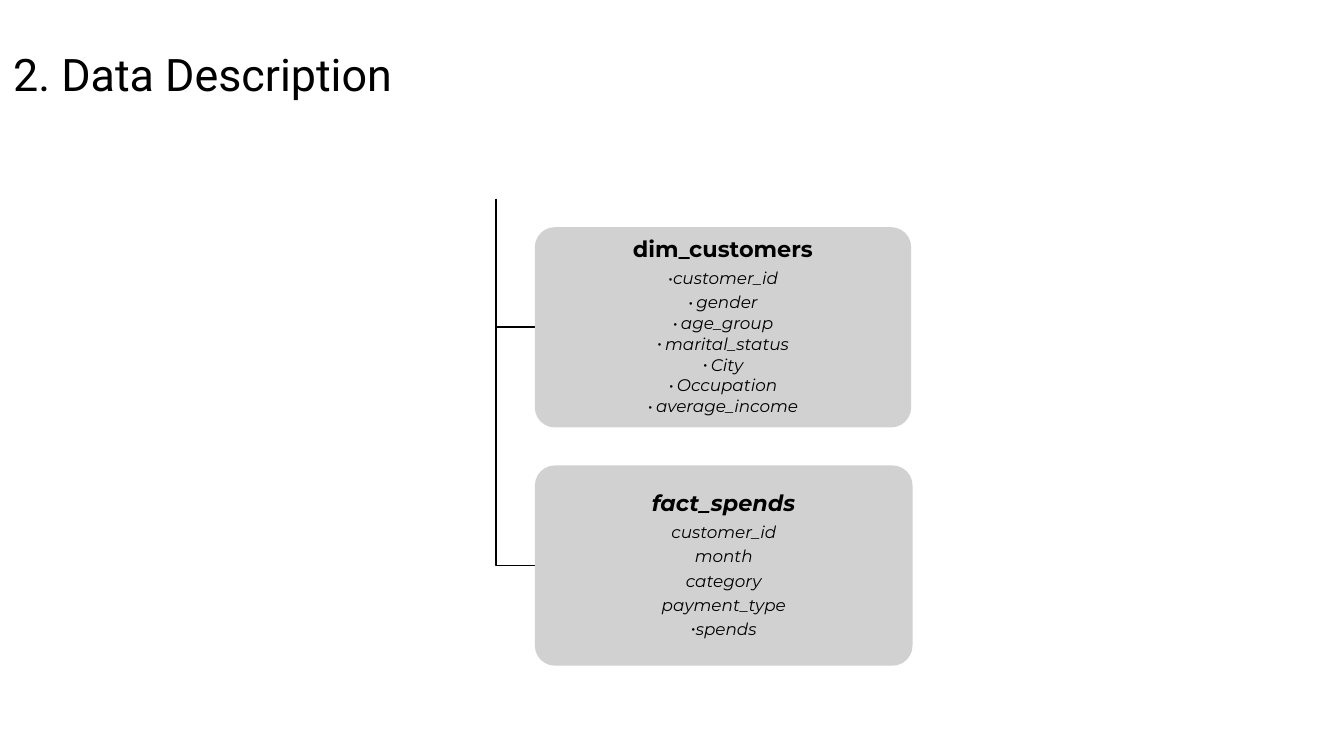
from lxml.etree import SubElement
from pptx import Presentation
from pptx.dml.color import RGBColor
from pptx.enum.shapes import MSO_SHAPE as Shape
from pptx.enum.text import MSO_ANCHOR as Anchor, PP_ALIGN as Align
from pptx.oxml.ns import qn
from pptx.util import Inches, Pt

BLACK = RGBColor(0x00, 0x00, 0x00)
GREY = RGBColor(0xCC, 0xCC, 0xCC)
TITLE_FONT, CARD_FONT = "Roboto", "Montserrat"

# Layout of the table tree, in inches
SLIDE_WIDTH = 10
SLIDE_HEIGHT = SLIDE_WIDTH * 9 / 16
TRUNK_X, TRUNK_TOP = 3.69, 1.48
CARD_X, FIRST_CARD_Y = 3.98, 1.69
CARD_HEIGHT = 1.49
CARD_PITCH = CARD_HEIGHT * 1.19
HANGING = 0.06

# Each field: name, outline level, bulleted
CUSTOMER_FIELDS = [("customer_id", 0, True)] + [
    (name, 1, True)
    for name in ("gender", "age_group", "marital_status", "City",
                 "Occupation", "average_income")
]
SPEND_FIELDS = [
    (name, 0, False)
    for name in ("customer_id", "month", "category", "payment_type")
] + [("spends", 0, True)]

# Each table: name, name in italics, card width, fields
TABLES = [
    ("dim_customers", False, 2.8, CUSTOMER_FIELDS),
    ("fact_spends", True, 2.81, SPEND_FIELDS),
]


def add_run(paragraph, text, font, size, bold=False, italic=False):
    run = paragraph.add_run()
    run.text = text
    run.font.name = font
    run.font.size = Pt(size)
    run.font.bold = bold
    run.font.italic = italic
    run.font.color.rgb = BLACK


def set_margins(frame, margin):
    frame.margin_left = frame.margin_right = Inches(margin)
    frame.margin_top = frame.margin_bottom = Inches(margin)


def format_line(paragraph, level=0, bulleted=False):
    """Centre a card line, with spacing relative to its text size."""
    paragraph.alignment = Align.CENTER
    paragraph.line_spacing = 0.9
    paragraph.level = level
    properties = paragraph._p.get_or_add_pPr()
    indent = Inches(HANGING * level)
    properties.set("marL", str(indent))
    properties.set("indent", str(-indent))
    after = SubElement(properties, qn("a:spcAft"))
    share = 15000 if level else 35000
    SubElement(after, qn("a:spcPct")).set("val", str(share))
    if bulleted:
        SubElement(properties, qn("a:buFont")).set("typeface", CARD_FONT)
        SubElement(properties, qn("a:buChar")).set("char", "•")
    else:
        SubElement(properties, qn("a:buNone"))


def add_title(slide, text):
    title = slide.shapes.add_textbox(0, Inches(0.25), Inches(7.21), Inches(0.54))
    frame = title.text_frame
    frame.word_wrap = True
    set_margins(frame, 0.1)
    add_run(frame.paragraphs[0], text, TITLE_FONT, 24)


def add_branch(slide, end_y):
    """Draw the trunk down to end_y and turn right to the card."""
    builder = slide.shapes.build_freeform(
        Inches(TRUNK_X), Inches(TRUNK_TOP), scale=1.0)
    builder.add_line_segments(
        [(Inches(TRUNK_X), Inches(end_y)), (Inches(CARD_X), Inches(end_y))],
        close=False)
    branch = builder.convert_to_shape()
    branch.shadow.inherit = False
    branch.fill.background()
    branch.line.color.rgb = BLACK
    branch.line.width = Pt(1)


def add_card(slide, top, width, name, italic, fields):
    card = slide.shapes.add_shape(
        Shape.ROUNDED_RECTANGLE, Inches(CARD_X), Inches(top),
        Inches(width), Inches(CARD_HEIGHT))
    card.adjustments[0] = 0.1
    card.shadow.inherit = False
    card.line.fill.background()
    card.fill.solid()
    card.fill.fore_color.rgb = GREY
    colour = card._element.spPr.find(qn("a:solidFill"))[0]
    SubElement(colour, qn("a:alpha")).set("val", "90000")

    # Table name, then its fields
    frame = card.text_frame
    frame.word_wrap = True
    frame.vertical_anchor = Anchor.MIDDLE
    set_margins(frame, 0.01)
    heading = frame.paragraphs[0]
    format_line(heading)
    add_run(heading, name, CARD_FONT, 12, bold=True, italic=italic)
    for field, level, bulleted in fields:
        line = frame.add_paragraph()
        format_line(line, level, bulleted)
        add_run(line, field, CARD_FONT, 9, italic=True)


def main():
    deck = Presentation()
    deck.slide_width = Inches(SLIDE_WIDTH)
    deck.slide_height = Inches(SLIDE_HEIGHT)
    slide = deck.slides.add_slide(deck.slide_layouts[6])

    add_title(slide, "2. Data Description")

    # One branch and one card per table
    for row, (name, italic, width, fields) in enumerate(TABLES):
        top = FIRST_CARD_Y + row * CARD_PITCH
        add_branch(slide, top + CARD_HEIGHT / 2)
        add_card(slide, top, width, name, italic, fields)

    deck.save("out.pptx")


if __name__ == "__main__":
    main()
